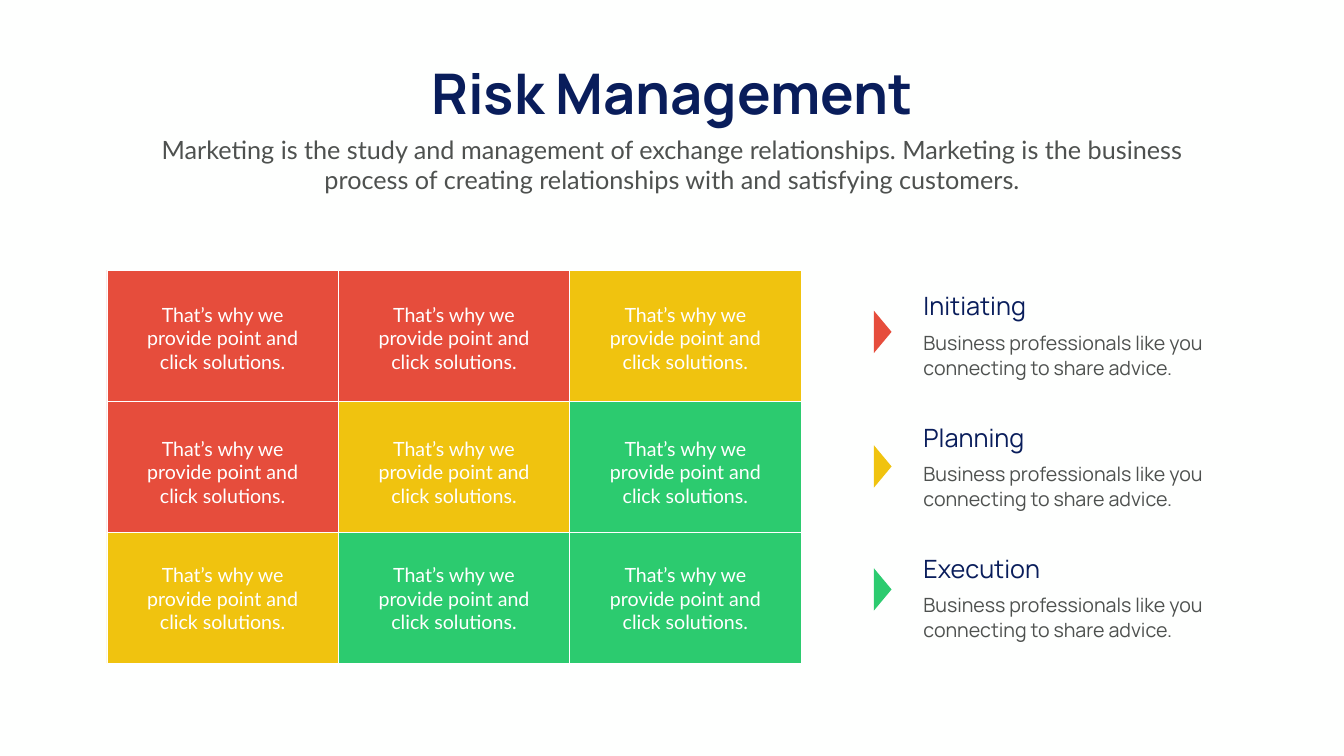
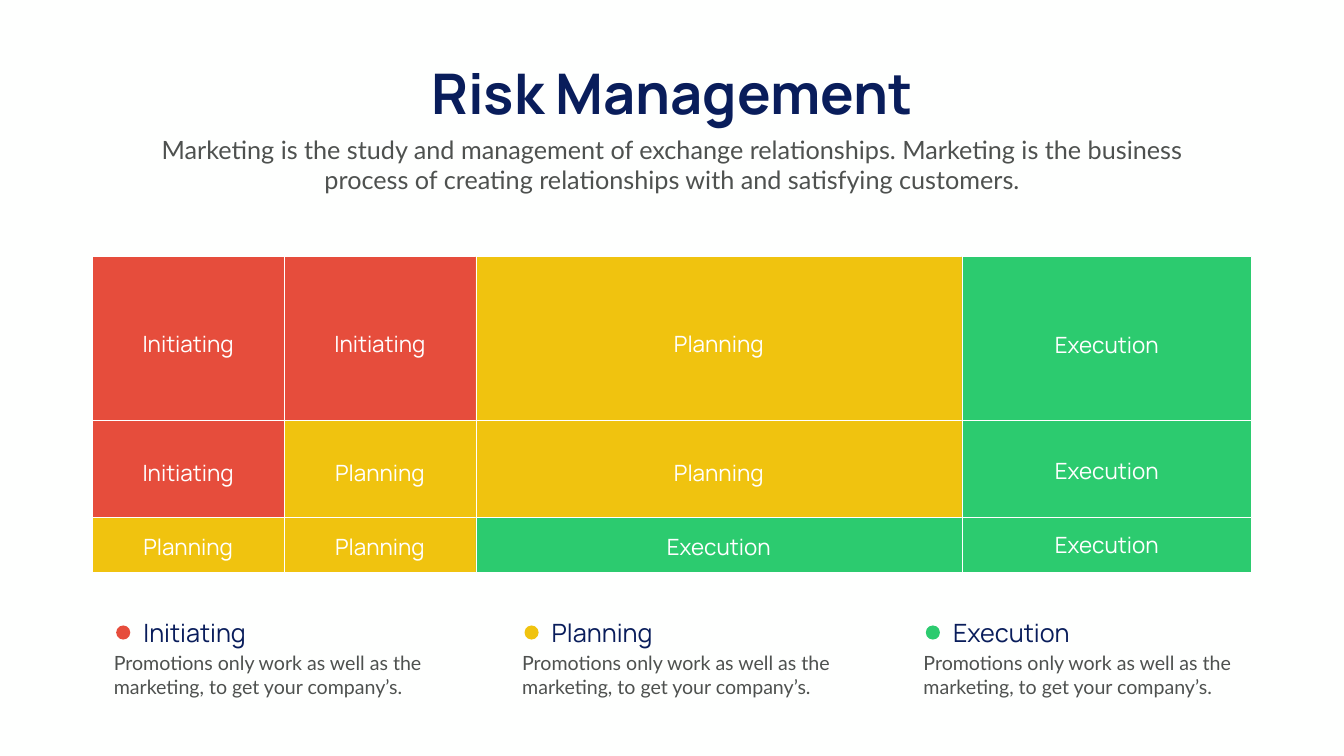
from pptx import Presentation
from pptx.dml.color import RGBColor
from pptx.enum.shapes import MSO_SHAPE as SHAPE
from pptx.enum.text import MSO_AUTO_SIZE as FIT, PP_ALIGN as ALIGN
from pptx.util import Pt

# Content
TITLE = "Risk Management"
SUBTITLE = ("Marketing is the study and management of exchange relationships. "
            "Marketing is the business process of creating relationships "
            "with and satisfying customers.")
CELL_TEXT = "That’s why we provide point and click solutions."
ADVICE = "Business professionals like you connecting to share advice."
PROMOTION = "Promotions only work as well as the marketing, to get your company’s."
PHASES = ["Initiating", "Planning", "Execution"]
SQUARE_MATRIX = ["IIP", "IPE", "PEE"]          # phase initials, row by row
WIDE_MATRIX = ["IIPE", "IPPE", "PPEE"]

# Shared look
COLORS = {"background": "FEFFFE", "navy": "091D5B", "gray": "4E514F", "white": "FFFFFF",
          "Initiating": "E64D3C", "Planning": "F0C30F", "Execution": "2CCB6F"}
BY_INITIAL = {phase[0]: phase for phase in PHASES}
STYLES = {
    "title": {"name": "Manrope", "size": Pt(80), "color": "navy", "bold": True},
    "subtitle": {"name": "Lato", "size": Pt(36), "color": "gray"},
    "heading": {"name": "Manrope", "size": Pt(36), "color": "navy"},
    "advice": {"name": "Manrope", "size": Pt(28), "color": "gray"},
    "promotion": {"name": "Lato", "size": Pt(28), "color": "gray"},
    "cell": {"name": "Lato", "size": Pt(28), "color": "white"},
    "label": {"name": "Manrope", "size": Pt(32), "color": "white"},
}


def rgb(name):
    return RGBColor.from_string(COLORS[name])


def add_text(shapes, text, box, style, align=None, wrap=True, spacing=None):
    tf = shapes.add_textbox(*map(Pt, box)).text_frame
    tf.word_wrap = wrap
    tf.auto_size = FIT.SHAPE_TO_FIT_TEXT
    p = tf.paragraphs[0]
    p.alignment, p.line_spacing = align, spacing
    r = p.add_run()
    r.text = text
    for key, value in STYLES[style].items():
        if key == "color":
            r.font.color.rgb = rgb(value)
        else:
            setattr(r.font, key, value)


def add_shape(shapes, kind, box, color, outlined=False):
    sp = shapes.add_shape(kind, *map(Pt, box))
    sp.shadow.inherit = False
    sp.fill.solid()
    sp.fill.fore_color.rgb = rgb(color)
    if outlined:
        sp.line.color.rgb = rgb("white")
        sp.line.width = Pt(1)
    else:
        sp.line.fill.background()
    return sp


def add_slide(prs):
    s = prs.slides.add_slide(prs.slide_layouts[6])
    s.background.fill.solid()
    s.background.fill.fore_color.rgb = rgb("background")
    add_text(s.shapes, TITLE, (575.28, 80.64, 768.96, 104.4), "title", ALIGN.CENTER, wrap=False)
    add_text(s.shapes, SUBTITLE, (210.24, 187.92, 1499.04, 94.32), "subtitle", ALIGN.CENTER)
    return s


def add_matrix(shapes, matrix, columns, rows):
    for initials, (top, height) in zip(matrix, rows):
        for initial, (left, width) in zip(initials, columns):
            add_shape(shapes, SHAPE.RECTANGLE, (left, top, width, height),
                      BY_INITIAL[initial], outlined=True)


def square_slide(prs):
    s = add_slide(prs)
    # Matrix of equal cells
    left, top, width, height = 152.64, 385.92, 330.48, 187.2
    text_width, text_tops = 254.16, [429.12, 619.92, 800.64]
    columns = [(left + i * width, width) for i in range(3)]
    rows = [(top + i * height, height) for i in range(3)]
    group = s.shapes.add_group_shape().shapes
    add_matrix(group, SQUARE_MATRIX, columns, rows)
    for text_top in text_tops:
        for x, w in columns:
            add_text(group, CELL_TEXT, (x + (w - text_width) / 2, text_top, text_width, 108.72),
                     "cell", ALIGN.CENTER)
    # Legend, one entry beside each row
    pointer_tops = [461.52, 653.76, 829.44]
    for phase, (y, _), pointer_top in zip(PHASES, rows, pointer_tops):
        add_text(s.shapes, ADVICE, (1311.84, y + 79.92, 462.96, 81.36), "advice",
                 spacing=Pt(36.6))
        add_text(s.shapes, phase, (1311.84, y + 25.92, 352.08, 51.12), "heading")
        pointer = add_shape(s.shapes, SHAPE.ISOSCELES_TRIANGLE,
                            (1230.48, pointer_top, 60.48, 25.2), phase)
        pointer.rotation = 90


def wide_slide(prs):
    s = add_slide(prs)
    # Matrix of uneven cells
    widths = [273.96, 273.96, 694.08, 414]
    columns = [(131.76 + sum(widths[:i]), w) for i, w in enumerate(widths)]
    rows = [(365.76, 234.72), (600.48, 139.68), (738.72, 78.48)]
    add_matrix(s.shapes, WIDE_MATRIX, columns, rows)
    # Labels; the last column sits at its own heights
    label_width = 208.8
    label_tops = [(468, 469.44), (652.32, 649.44), (757.44, 755.28)]
    for initials, (y, last_y) in zip(WIDE_MATRIX, label_tops):
        for initial, (x, w), top in zip(initials, columns, [y, y, y, last_y]):
            add_text(s.shapes, BY_INITIAL[initial],
                     (x + (w - label_width) / 2, top, label_width, 46.08),
                     "label", ALIGN.CENTER)
    # Legend below the matrix
    for phase, x in zip(PHASES, [155.52, 738.72, 1311.84]):
        group = s.shapes.add_group_shape().shapes
        add_text(group, phase, (x + 42.2, 877.68, 359.28, 51.12), "heading")
        add_text(group, PROMOTION, (x, 926.64, 464.4, 74.88), "promotion")
        add_shape(group, SHAPE.OVAL, (x + 10.4, 893.52, 20.16, 20.16), phase)


def main():
    prs = Presentation()
    prs.slide_width, prs.slide_height = Pt(1919.52), Pt(1080)
    square_slide(prs)
    wide_slide(prs)
    prs.save("out.pptx")


if __name__ == "__main__":
    main()
